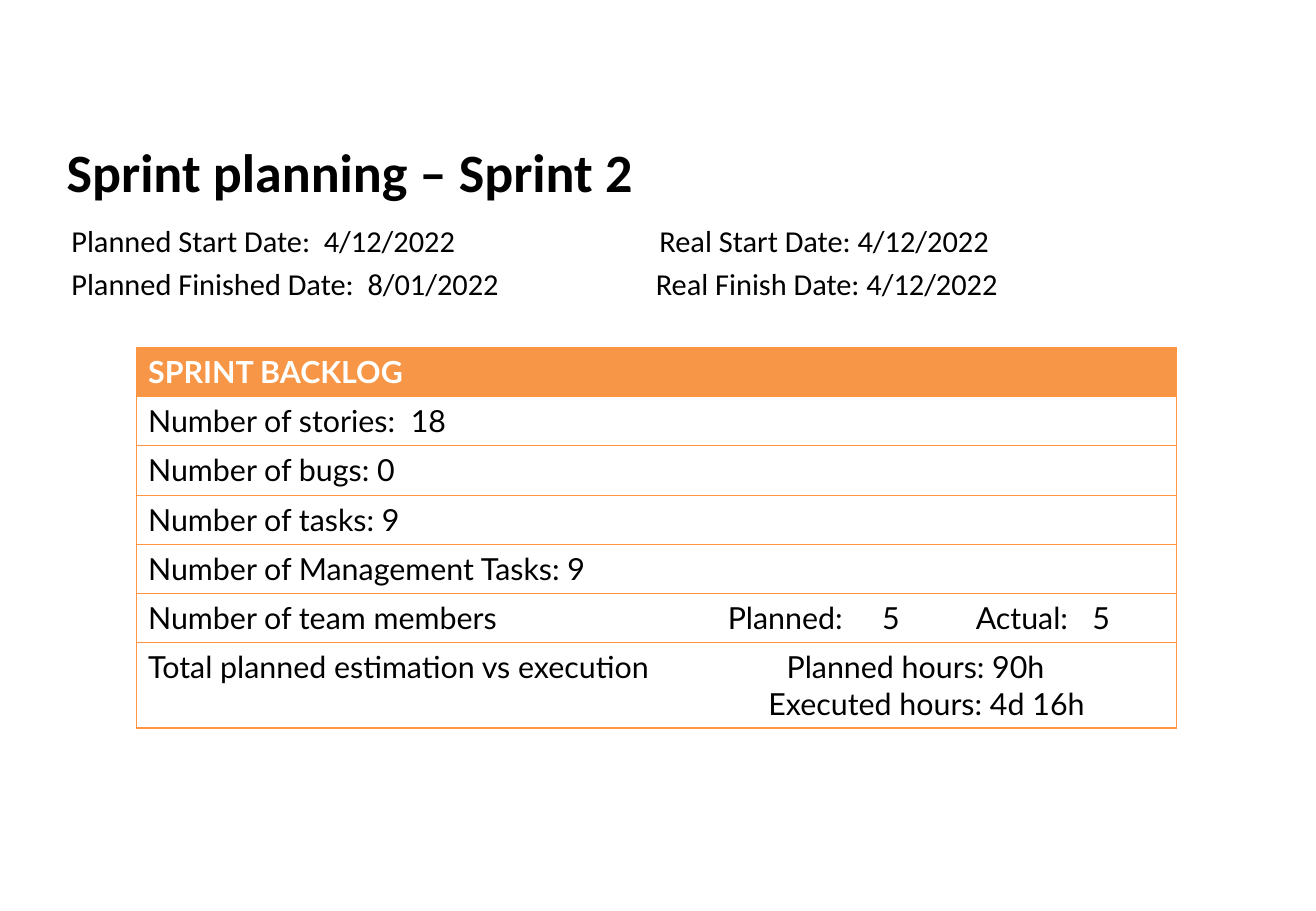
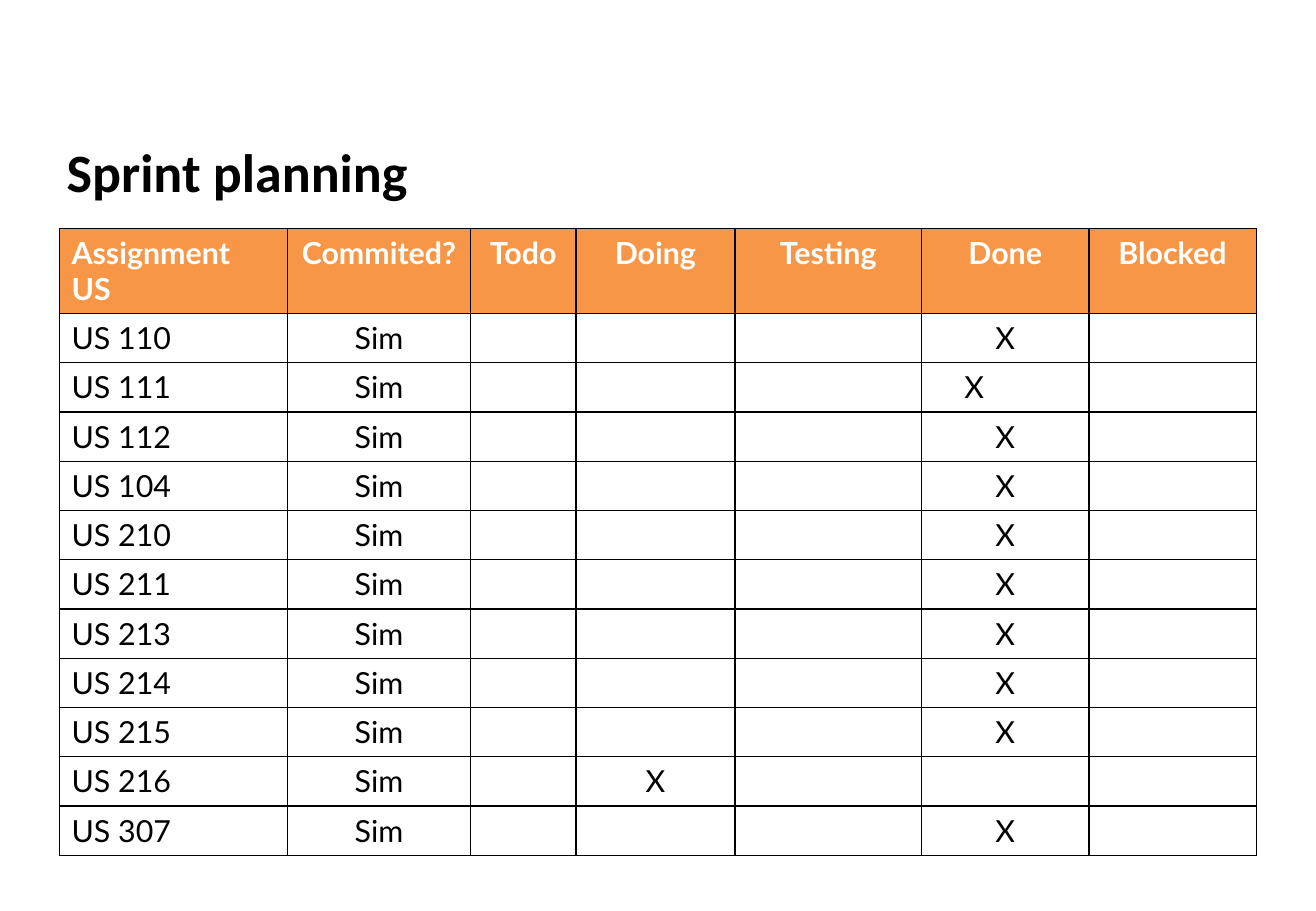
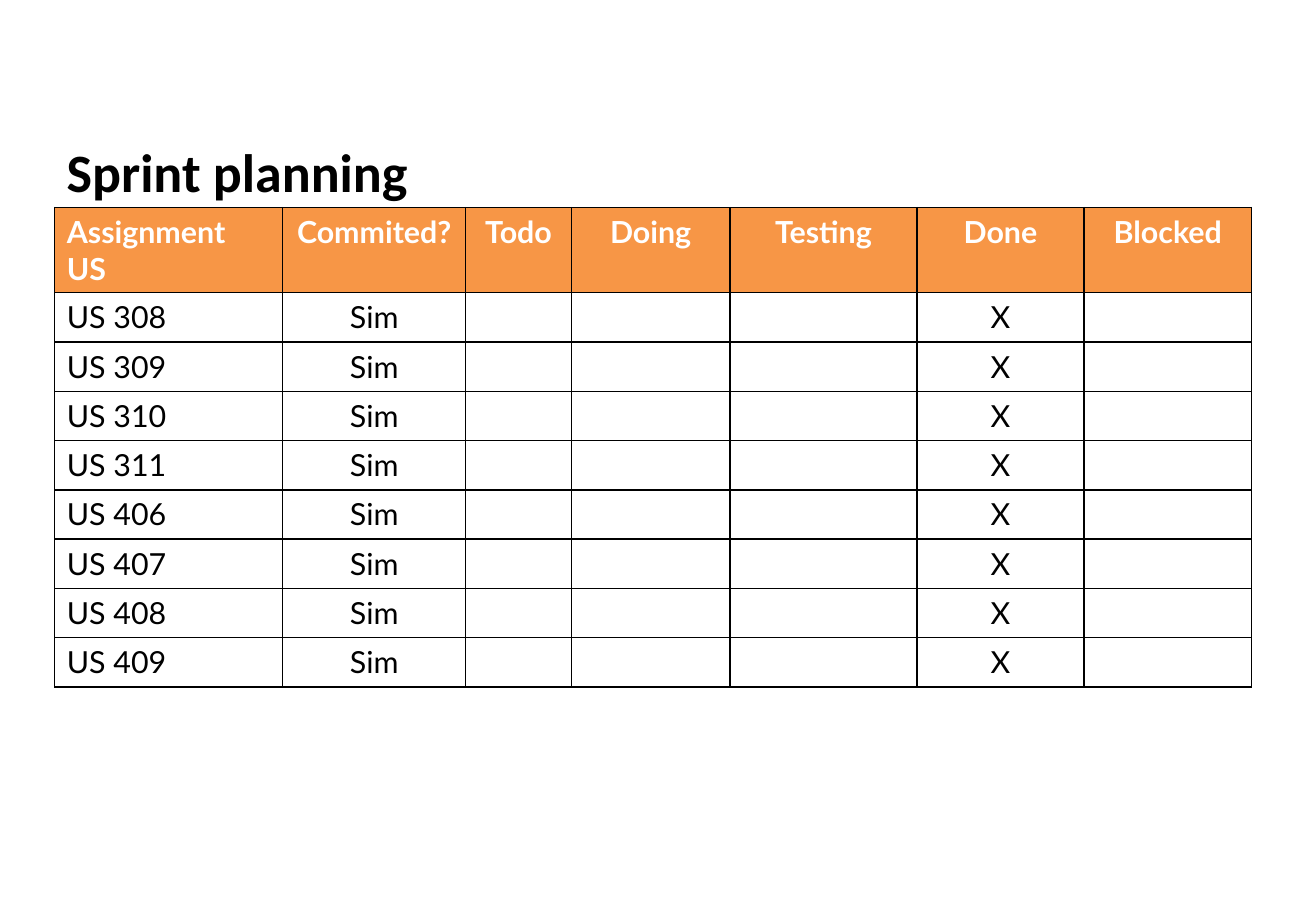
from dataclasses import dataclass

from lxml.etree import SubElement
from pptx import Presentation
from pptx.dml.color import RGBColor
from pptx.enum.text import PP_ALIGN
from pptx.oxml.ns import qn
from pptx.slide import Slide
from pptx.table import _Cell
from pptx.text.text import _Paragraph
from pptx.util import Emu, Inches, Pt

SLIDE_WIDTH = Inches(10.83)
SLIDE_HEIGHT = Inches(7.5)
ROW_HEIGHT = 5.41
CELL_MARGIN = 0.92

BLACK = RGBColor(0x00, 0x00, 0x00)
WHITE = RGBColor(0xFF, 0xFF, 0xFF)
HEADER_ORANGE = RGBColor(0xF7, 0x96, 0x46)
RULE_ORANGE = RGBColor(0xFF, 0x95, 0x3E)

HEADING_FONT = "Calibri"
TABLE_FONT = "Lato"

STATES = ("Todo", "Doing", "Testing", "Done", "Blocked")
BOARD_HEADER = ("Assignment US", "Commited?", *STATES)
BOARD_WEIGHTS = (1.88, 1.51, 0.87, 1.31, 1.54, 1.38, 1.38)


@dataclass(frozen=True)
class Box:
    left: float
    top: float
    width: float
    height: float = 0


@dataclass(frozen=True)
class TextStyle:
    font: str
    size: int
    color: RGBColor = BLACK
    bold: bool = False


@dataclass(frozen=True)
class Line:
    text: str
    align: PP_ALIGN = PP_ALIGN.LEFT
    tabs: tuple[float, ...] = ()
    indent_left: float = 0
    indent_right: float = 0
    space_after: int = 0


@dataclass(frozen=True)
class CellContent:
    lines: tuple[Line, ...] = ()
    margin_left: float = CELL_MARGIN
    margin_right: float = CELL_MARGIN


@dataclass(frozen=True)
class Rules:
    color: RGBColor
    width: float
    inner_verticals: bool


@dataclass(frozen=True)
class Board:
    left: float
    top: float
    stories: tuple[str, ...]
    doing: tuple[str, ...] = ()
    shifted: tuple[str, ...] = ()


TITLE_STYLE = TextStyle(HEADING_FONT, 32, bold=True)
DATE_STYLE = TextStyle(HEADING_FONT, 18)
HEADER_STYLE = TextStyle(TABLE_FONT, 18, WHITE, True)
BODY_STYLE = TextStyle(TABLE_FONT, 18)

BACKLOG_RULES = Rules(RULE_ORANGE, 0.75, False)
BOARD_RULES = Rules(BLACK, 1, True)

DATES = (
    Line("Planned Start Date:  4/12/2022\tReal Start Date: 4/12/2022",
         tabs=(44.69,), space_after=4),
    Line("Planned Finished Date:  8/01/2022\tReal Finish Date: 4/12/2022",
         tabs=(44.41,), space_after=4),
)

TEAM_SIZES = CellContent(
    (Line("Planned:\t5\tActual:\t5", tabs=(11.73, 18.84, 27.7)),),
    margin_left=4.99,
)
HOURS = CellContent((
    Line("Planned hours: 90h", PP_ALIGN.CENTER, indent_right=0.55),
    Line("Executed hours: 4d 16h", PP_ALIGN.CENTER, indent_left=1.11),
))
BACKLOG = (
    ("SPRINT BACKLOG", CellContent()),
    ("Number of stories:  18", CellContent()),
    ("Number of bugs: 0", CellContent()),
    ("Number of tasks: 9", CellContent()),
    ("Number of Management Tasks: 9", CellContent()),
    ("Number of team members", TEAM_SIZES),
    ("Total planned estimation vs execution", HOURS),
)

BOARDS = (
    Board(4.52, 25.07,
          ("US 110", "US 111", "US 112", "US 104", "US 210", "US 211",
           "US 213", "US 214", "US 215", "US 216", "US 307"),
          doing=("US 216",), shifted=("US 111",)),
    Board(4.16, 22.8,
          ("US 308", "US 309", "US 310", "US 311",
           "US 406", "US 407", "US 408", "US 409")),
)


def across(percent: float) -> Emu:
    return Emu(round(SLIDE_WIDTH * percent / 100))


def down(percent: float) -> Emu:
    return Emu(round(SLIDE_HEIGHT * percent / 100))


def write_line(paragraph: _Paragraph, line: Line, style: TextStyle) -> None:
    paragraph.alignment = line.align
    paragraph.space_after = Pt(line.space_after)
    properties = paragraph._p.get_or_add_pPr()
    properties.set("marL", str(across(line.indent_left)))
    properties.set("marR", str(across(line.indent_right)))
    if line.tabs:
        stops = SubElement(properties, qn("a:tabLst"))
        for position in line.tabs:
            SubElement(stops, qn("a:tab"), pos=str(across(position)), algn="l")
    run = paragraph.add_run()
    run.text = line.text
    run.font.name = style.font
    run.font.size = Pt(style.size)
    run.font.bold = style.bold
    run.font.color.rgb = style.color


def write_lines(frame, lines: tuple[Line, ...], style: TextStyle) -> None:
    for index, line in enumerate(lines):
        paragraph = frame.add_paragraph() if index else frame.paragraphs[0]
        write_line(paragraph, line, style)


def add_text(slide: Slide, box: Box, lines: tuple[Line, ...], style: TextStyle) -> None:
    frame = slide.shapes.add_textbox(
        across(box.left), down(box.top), across(box.width), down(box.height)
    ).text_frame
    frame.word_wrap = True
    write_lines(frame, lines, style)


def add_title(slide: Slide, text: str) -> None:
    add_text(slide, Box(4.16, 14.53, 91.32, 8.4), (Line(text),), TITLE_STYLE)


def rule_cell(cell: _Cell, rules: Rules, first: bool, last: bool) -> None:
    properties = cell._tc.get_or_add_tcPr()
    visible = {
        "a:lnL": first or rules.inner_verticals,
        "a:lnR": last or rules.inner_verticals,
        "a:lnT": True,
        "a:lnB": True,
    }
    for side, shown in visible.items():
        edge = SubElement(properties, qn(side), w=str(Pt(rules.width)))
        if shown:
            paint = SubElement(edge, qn("a:solidFill"))
            SubElement(paint, qn("a:srgbClr"), val=str(rules.color))
        else:
            SubElement(edge, qn("a:noFill"))


def add_grid(slide: Slide, box: Box, weights: tuple[float, ...],
             rows: list[list[CellContent]], rules: Rules) -> None:
    table = slide.shapes.add_table(
        len(rows), len(weights), across(box.left), down(box.top),
        across(box.width), down(ROW_HEIGHT * len(rows)),
    ).table
    table.first_row = False
    table.horz_banding = False
    for column, weight in zip(table.columns, weights):
        column.width = across(box.width * weight / sum(weights))
    for row_index, contents in enumerate(rows):
        table.rows[row_index].height = down(ROW_HEIGHT)
        is_header = row_index == 0
        for column_index, content in enumerate(contents):
            cell = table.cell(row_index, column_index)
            cell.margin_left = across(content.margin_left)
            cell.margin_right = across(content.margin_right)
            rule_cell(cell, rules, column_index == 0,
                      column_index == len(weights) - 1)
            cell.fill.solid()
            cell.fill.fore_color.rgb = HEADER_ORANGE if is_header else WHITE
            write_lines(cell.text_frame, content.lines,
                        HEADER_STYLE if is_header else BODY_STYLE)


def left_cell(text: str) -> CellContent:
    return CellContent((Line(text),))


def centered_cell(text: str, margin_right: float = CELL_MARGIN) -> CellContent:
    return CellContent((Line(text, PP_ALIGN.CENTER),), margin_right=margin_right)


def story_row(board: Board, story: str) -> list[CellContent]:
    current = "Doing" if story in board.doing else "Done"
    margin = 5.63 if story in board.shifted else CELL_MARGIN
    marks = [centered_cell("X", margin) if state == current else CellContent()
             for state in STATES]
    return [left_cell(story), centered_cell("Sim"), *marks]


def build_backlog(slide: Slide) -> None:
    add_title(slide, "Sprint planning – Sprint 2")
    rows = [[left_cell(label), detail] for label, detail in BACKLOG]
    add_grid(slide, Box(10.34, 38.13, 79.04), (4.33, 4.23), rows, BACKLOG_RULES)
    add_text(slide, Box(4.52, 23.73, 91.32, 10.4), DATES, DATE_STYLE)


def build_board(slide: Slide, board: Board) -> None:
    add_title(slide, "Sprint planning")
    first, *others = BOARD_HEADER
    header = [left_cell(first), *(centered_cell(name) for name in others)]
    rows = [header, *(story_row(board, story) for story in board.stories)]
    add_grid(slide, Box(board.left, board.top, 90.95), BOARD_WEIGHTS, rows, BOARD_RULES)


def main() -> None:
    deck = Presentation()
    deck.slide_width = SLIDE_WIDTH
    deck.slide_height = SLIDE_HEIGHT
    blank = deck.slide_layouts[6]
    build_backlog(deck.slides.add_slide(blank))
    for board in BOARDS:
        build_board(deck.slides.add_slide(blank), board)
    deck.save("out.pptx")


if __name__ == "__main__":
    main()
